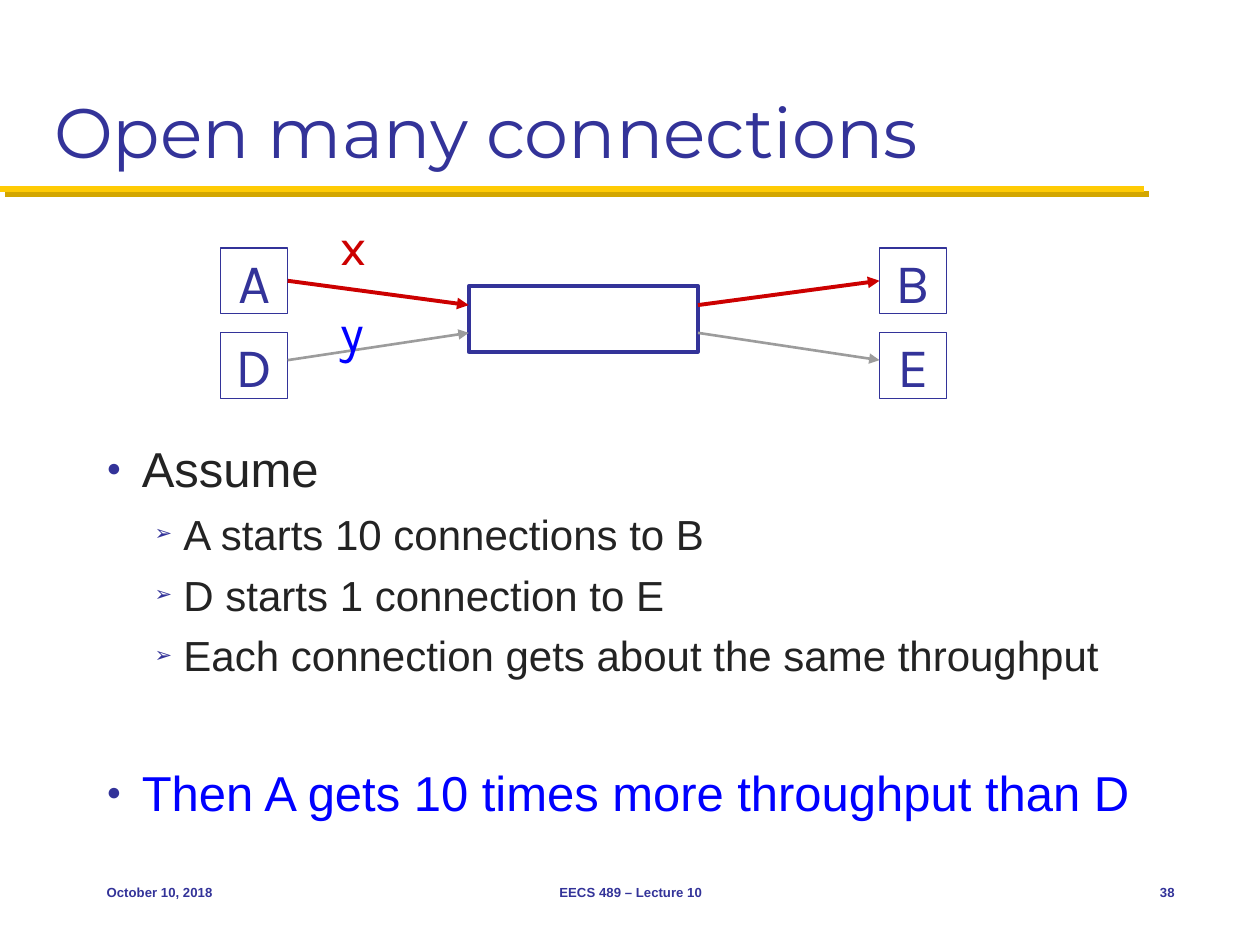
from lxml.etree import SubElement
from pptx import Presentation
from pptx.dml.color import RGBColor
from pptx.enum.shapes import MSO_CONNECTOR, MSO_SHAPE
from pptx.enum.text import MSO_ANCHOR, PP_ALIGN
from pptx.oxml.ns import qn
from pptx.util import Cm, Pt


class Theme:
    navy, ink, blue, red = "333399", "232323", "0000FF", "CC0000"
    gray, white, gold, shade = "9C9C9C", "FFFFFF", "FFCB05", "D3A600"
    head, body, node = "Montserrat", "Arial", "Karla"
    title, main, sub, label, mark, foot = 40, 28, 24, 32, 29, 7.5


def write(shape, text, face, size, color, align=PP_ALIGN.LEFT,
          anchor=MSO_ANCHOR.MIDDLE, pad=(0.25, 0.13), bold=False):
    """Put one styled line of text into a shape and return its frame."""
    frame = shape.text_frame
    frame.word_wrap = False
    frame.vertical_anchor = anchor
    frame.margin_left = frame.margin_right = Cm(pad[0])
    frame.margin_top = frame.margin_bottom = Cm(pad[1])
    para = frame.paragraphs[0]
    para.text = text
    para.alignment = align
    font = para.font
    font.name, font.size, font.bold = face, Pt(size), bold
    font.color.rgb = RGBColor.from_string(color)
    return frame


def link(start, end, color, width, arrow=True):
    line = slide.shapes.add_connector(
        MSO_CONNECTOR.STRAIGHT, *(Cm(v) for v in (*start, *end)))
    line.line.color.rgb = RGBColor.from_string(color)
    line.line.width = Pt(width)
    if arrow:
        SubElement(line.line._get_or_add_ln(), qn("a:tailEnd"), type="triangle")
    SubElement(line._element.spPr, qn("a:effectLst"))


deck = Presentation()
deck.slide_width, deck.slide_height = Cm(25.4), Cm(19.05)
slide = deck.slides.add_slide(deck.slide_layouts[6])
shapes = slide.shapes

# Title and its gold rule with a darker edge
for shift, color in ((0.1, Theme.shade), (0, Theme.gold)):
    link((shift, 3.81 + shift), (23.06 + shift, 3.81 + shift), color, 3.5, False)
title = shapes.add_textbox(Cm(0.84), Cm(0.43), Cm(23.7), Cm(3.18))
write(title, "Open many connections", Theme.head, Theme.title, Theme.navy,
      anchor=MSO_ANCHOR.BOTTOM)

# Hosts on both sides of the shared router
left, right, wide, high = 4.45, 17.73, 1.35, 1.32
top, low = 5, 6.71
hub, span = 9.45, 4.62
boxes = [("A", left, top, wide, 0.75), ("B", right, top, wide, 0.75),
         ("D", left, low, wide, 0.75), ("E", right, low, wide, 0.75),
         ("", hub, 5.77, span, 2.25)]
for name, x, y, width, edge in boxes:
    box = shapes.add_shape(MSO_SHAPE.RECTANGLE, Cm(x), Cm(y), Cm(width), Cm(high))
    box.shadow.inherit = False
    box.fill.solid()
    box.fill.fore_color.rgb = RGBColor.from_string(Theme.white)
    box.line.color.rgb = RGBColor.from_string(Theme.navy)
    box.line.width = Pt(edge)
    if name:
        write(box, name, Theme.node, Theme.label, Theme.navy,
              PP_ALIGN.CENTER, pad=(0.1, 0.05))

# One flow per row: host height, router height, line, label
flows = [(5.66, 6.15, Theme.red, 2.25, "x", 4.24, Theme.red),
         (7.26, 6.71, Theme.gray, 1.5, "y", 5.97, Theme.blue)]
for host, port, color, width, name, y, tint in flows:
    link((left + wide, host), (hub, port), color, width)
    link((hub + span, port), (right, host), color, width)
    mark = shapes.add_textbox(Cm(6.76), Cm(y), Cm(0.97), Cm(1.42))
    write(mark, name, Theme.node, Theme.mark, tint, pad=(0.1, 0.05))

# Bullets: text, level, space before, color
points = [("Assume", 0, 0, Theme.ink),
          ("A starts 10 connections to B", 1, 6, Theme.ink),
          ("D starts 1 connection to E", 1, 6, Theme.ink),
          ("Each connection gets about the same throughput", 1, 6, Theme.ink),
          ("Then A gets 10 times more throughput than D", 0, 47, Theme.blue)]
levels = [("●", 0.71, 0.71, Theme.main), ("➢", 1.55, 0.58, Theme.sub)]
body = shapes.add_textbox(Cm(1.9), Cm(8.72), Cm(22.02), Cm(8)).text_frame
body.word_wrap = True
for i, (text, level, space, color) in enumerate(points):
    sign, margin, hang, size = levels[level]
    para = body.paragraphs[0] if i == 0 else body.add_paragraph()
    para.text = text
    para.level = level
    para.space_before = Pt(space)
    props = para._p.get_or_add_pPr()
    props.set("marL", str(Cm(margin)))
    props.set("indent", str(-Cm(hang)))
    SubElement(SubElement(props, qn("a:buClr")), qn("a:srgbClr"), val=Theme.navy)
    SubElement(props, qn("a:buSzPct"), val="50000")
    SubElement(props, qn("a:buFont"), typeface=Theme.body)
    SubElement(props, qn("a:buChar"), char=sign)
    para.font.name, para.font.size = Theme.body, Pt(size)
    para.font.color.rgb = RGBColor.from_string(color)

# Footer
notes = [("October 10, 2018", 1.9, 5.28, PP_ALIGN.LEFT),
         ("EECS 489 – Lecture 10", 8.69, 8.05, PP_ALIGN.CENTER),
         ("38", 22.23, 1.7, PP_ALIGN.RIGHT)]
for text, x, width, align in notes:
    note = shapes.add_textbox(Cm(x), Cm(17.35), Cm(width), Cm(1.27))
    frame = write(note, text, Theme.body, Theme.foot, Theme.navy, align, bold=True)
    frame.word_wrap = True

deck.save("out.pptx")
